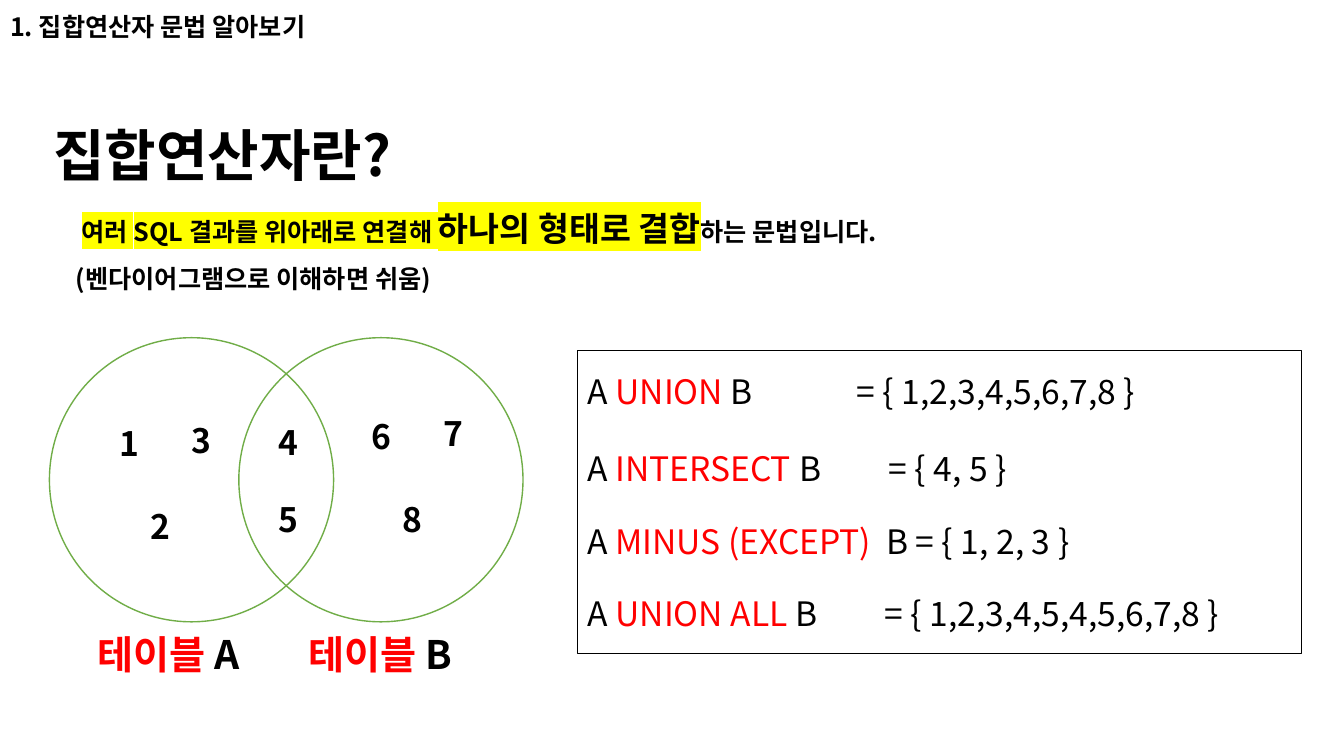
from pptx import Presentation
from pptx.dml.color import RGBColor
from pptx.enum import shapes, text
from pptx.oxml import ns
from pptx.util import Pt
from lxml import etree

FONT = "Noto Sans CJK KR"
BLACK, RED, GREEN, YELLOW = "000000", "FF0000", "70AD47", "FFFF00"

TITLE = "1. 집합연산자 문법 알아보기"
BODY = [
    (0, [("집합연산자란?", 40, None)]),
    (20, [("여러 SQL 결과를 위아래로 연결해 ", 18, YELLOW),
          ("하나의 형태로 결합", 24, YELLOW),
          ("하는 문법입니다.", 18, None)]),
    (16, [("(벤다이어그램으로 이해하면 쉬움)", 18, None)]),
]
CIRCLES = [(35.3, "A", 62.6), (170.6, "B", 213.1)]
CIRCLE_TOP, DIAMETER, LABEL_TOP = 241.2, 203, 446.4
NUMBERS = [("1", 78.5, 298.8), ("2", 100.1, 357.8), ("3", 129.6, 296.6),
           ("4", 191.5, 298.1), ("5", 191.5, 352.8), ("6", 258.5, 293.8),
           ("8", 280.1, 352.8), ("7", 309.6, 291.6)]
OPERATIONS = [
    (192, "UNION", [(" B\t= { 1,2,3,4,5,6,7,8 }", 24)]),
    (215, "INTERSECT", [(" ", 28), ("B\t= { 4, 5 }", 24)]),
    (None, "MINUS (EXCEPT)", [("  B = { 1, 2, 3 }", 24)]),
    (212, "UNION ALL ", [("B\t= { 1,2,3,4,5,4,5,6,7,8 }", 24)]),
]


def color(value):
    return RGBColor.from_string(value)


def add_run(p, words, size, fill=BLACK, bold=True, highlight=None):
    r = p.add_run()
    r.text = words
    r.font.size, r.font.bold = Pt(size), bold
    r.font.color.rgb = color(fill)
    rPr = r.font._element
    if highlight:
        mark = etree.SubElement(rPr, ns.qn("a:highlight"))
        etree.SubElement(mark, ns.qn("a:srgbClr"), val=highlight)
    for tag in ("a:latin", "a:ea"):
        etree.SubElement(rPr, ns.qn(tag), typeface=FONT)


def place(sp, left, top, width, height):
    sp.left, sp.top, sp.width, sp.height = map(Pt, (left, top, width, height))


def prepare(tf, anchor=text.MSO_ANCHOR.TOP):
    tf.word_wrap = True
    tf.auto_size = text.MSO_AUTO_SIZE.SHAPE_TO_FIT_TEXT
    tf.vertical_anchor = anchor
    p = tf.paragraphs[0]
    p.alignment = text.PP_ALIGN.LEFT
    return p


def add_label(left, top, width, height, runs):
    sp = s.shapes.add_textbox(Pt(left), Pt(top), Pt(width), Pt(height))
    p = prepare(sp.text_frame)
    for run in runs:
        add_run(p, *run)


def add_outline(kind, left, top, width, height, line, weight):
    sp = s.shapes.add_shape(kind, Pt(left), Pt(top), Pt(width), Pt(height))
    sp.shadow.inherit = False
    sp.fill.background()
    sp.line.color.rgb = color(line)
    sp.line.width = Pt(weight)
    return sp


prs = Presentation()
prs.slide_width, prs.slide_height = Pt(960), Pt(540)
s = prs.slides.add_slide(prs.slide_layouts[1])

title, body = s.placeholders
place(title, 0, 4.3, 486, 28.8)
p = prepare(title.text_frame)
p.space_after = Pt(6)
add_run(p, TITLE, 18)

place(body, 31, 58.3, 898, 152)
tf = body.text_frame
prepare(tf)
for i, (indent, runs) in enumerate(BODY):
    p = tf.add_paragraph() if i else tf.paragraphs[0]
    p.line_spacing, p.space_before = 1.5, Pt(0)
    pPr = p._p.get_or_add_pPr()
    pPr.set("marL", str(Pt(indent)))
    pPr.set("indent", "0")
    etree.SubElement(pPr, ns.qn("a:buNone"))
    for words, size, highlight in runs:
        add_run(p, words, size, highlight=highlight)

for left, name, label_left in CIRCLES:
    add_outline(shapes.MSO_SHAPE.OVAL, left, CIRCLE_TOP, DIAMETER, DIAMETER, GREEN, 1)
    add_label(label_left, LABEL_TOP, 131, 41, [("테이블 ", 28, RED), (name, 28)])

for number, left, top in NUMBERS:
    add_label(left, top, 42.5, 36, [(number, 24)])

box = add_outline(shapes.MSO_SHAPE.RECTANGLE, 412.6, 250.6, 517, 216, BLACK, 0.75)
tf = box.text_frame
prepare(tf, text.MSO_ANCHOR.MIDDLE)
for i, (tab, operator, rest) in enumerate(OPERATIONS):
    p = tf.add_paragraph() if i else tf.paragraphs[0]
    p.alignment = text.PP_ALIGN.LEFT
    p.space_before = Pt(22.4 if i else 0)
    if tab:
        tabs = etree.SubElement(p._p.get_or_add_pPr(), ns.qn("a:tabLst"))
        etree.SubElement(tabs, ns.qn("a:tab"), pos=str(Pt(tab)), algn="l")
    add_run(p, "A ", 24, bold=False)
    add_run(p, operator, 24, RED, bold=False)
    for words, size in rest:
        add_run(p, words, size, bold=False)

prs.save("out.pptx")
